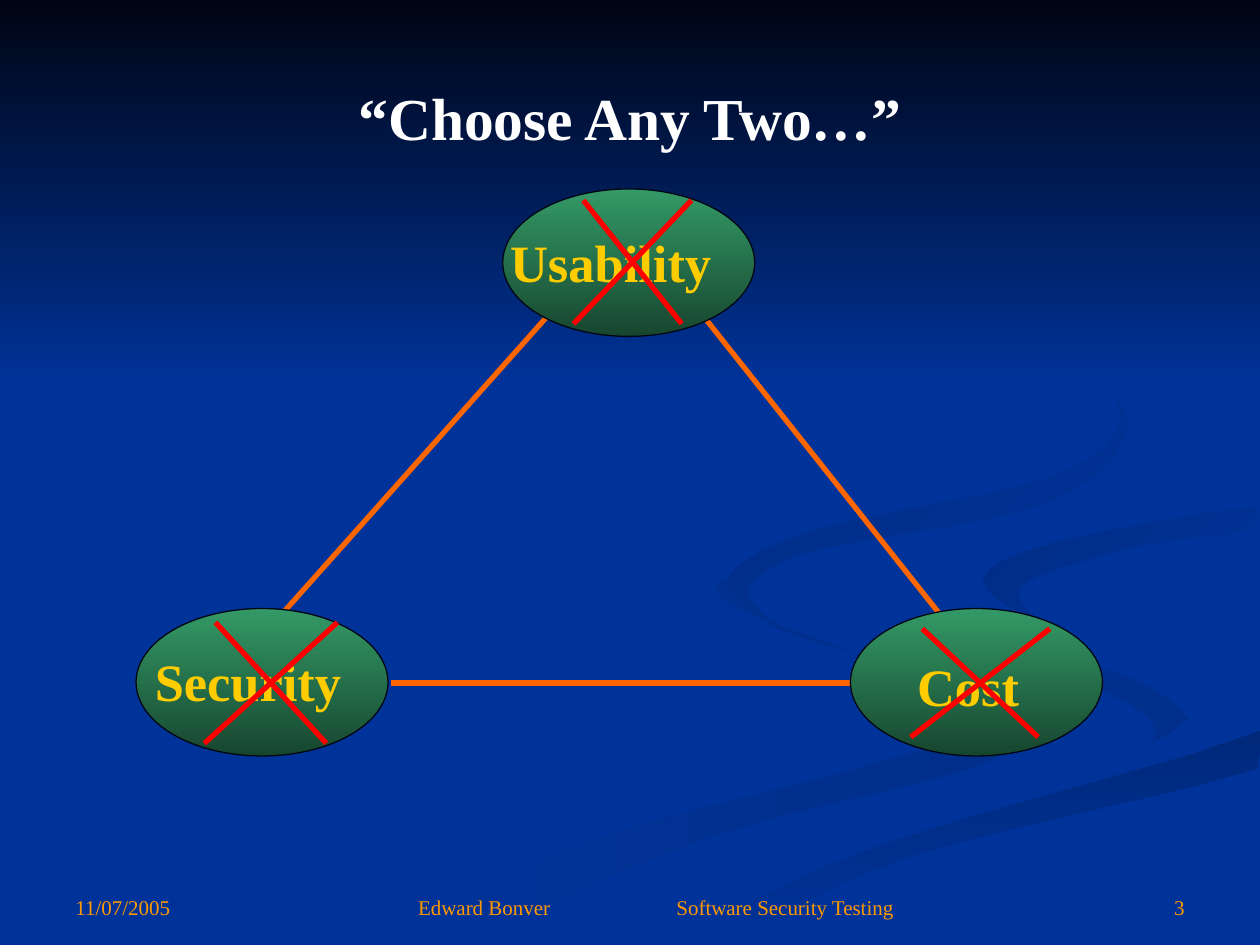
from dataclasses import dataclass

from lxml import etree
from pptx import Presentation
from pptx.dml.color import RGBColor
from pptx.enum.shapes import MSO_CONNECTOR, MSO_SHAPE
from pptx.enum.text import MSO_ANCHOR, PP_ALIGN
from pptx.oxml.ns import qn
from pptx.util import Emu, Inches, Pt

LEFT, CENTER, RIGHT = PP_ALIGN.LEFT, PP_ALIGN.CENTER, PP_ALIGN.RIGHT
TOP, MIDDLE, BOTTOM = MSO_ANCHOR.TOP, MSO_ANCHOR.MIDDLE, MSO_ANCHOR.BOTTOM
OVAL, RECTANGLE = MSO_SHAPE.OVAL, MSO_SHAPE.RECTANGLE
STRAIGHT = MSO_CONNECTOR.STRAIGHT

COLUMNS, ROWS = 100, 75  # grid over the slide, square cells
OVAL_WIDTH, OVAL_HEIGHT = 20, 11.7
CURVE_STEPS = 4


@dataclass(frozen=True)
class Theme:
    font: str = "Times New Roman"
    background: str = "003399"
    night: str = "000514"
    node_top: str = "339966"
    node_bottom: str = "17462F"
    edge: str = "FF6600"
    cross: str = "FF0000"
    title: str = "FFFFFF"
    label: str = "FFCC00"
    footer: str = "FF9900"
    title_size: int = 34
    label_size: int = 30
    footer_size: int = 12
    stroke: int = 3
    outline: float = 0.75


def smooth_ring(knots):
    """Catmull-Rom curve through a closed ring of knots, kept on the slide."""
    ring = []
    for i, b in enumerate(knots):
        a, c, d = knots[i - 1], knots[(i + 1) % len(knots)], knots[(i + 2) % len(knots)]
        for step in range(CURVE_STEPS):
            t = step / CURVE_STEPS
            x, y = (
                q + t / 2 * (r - p + t * (2 * p - 5 * q + 4 * r - s + t * (3 * (q - r) + s - p)))
                for p, q, r, s in zip(a, b, c, d)
            )
            ring.append((min(x, COLUMNS), min(y, ROWS)))
    return ring


class SlideBuilder:
    def __init__(self, deck, theme):
        self.theme = theme
        self.slide = deck.slides.add_slide(deck.slide_layouts[6])
        self.shapes = self.slide.shapes
        self.cell = deck.slide_width / COLUMNS
        fill = self.slide.background.fill
        fill.solid()
        fill.fore_color.rgb = RGBColor.from_string(theme.background)

    def cells(self, *lengths):
        return [Emu(round(length * self.cell)) for length in lengths]

    def paint(self, shape, colors, angle=90, outline=None):
        """Fill with one colour, or a gradient turned clockwise by angle."""
        shape.shadow.inherit = False
        if len(colors) == 1:
            shape.fill.solid()
            shape.fill.fore_color.rgb = RGBColor.from_string(colors[0])
        else:
            shape.fill.gradient()
            shape.fill.gradient_angle = 360 - angle
            for stop, color, position in zip(shape.fill.gradient_stops, colors, (0, 1)):
                stop.color.rgb = RGBColor.from_string(color)
                stop.position = position
        if outline:
            shape.line.color.rgb = RGBColor.from_string(outline)
            shape.line.width = Pt(self.theme.outline)
        else:
            shape.line.fill.background()

    def preset(self, kind, box, colors, outline=None):
        self.paint(self.shapes.add_shape(kind, *self.cells(*box)), colors, outline=outline)

    def ribbon(self, knots, colors, angle):
        start, *rest = [self.cells(*point) for point in smooth_ring(knots)]
        outline = self.shapes.build_freeform(*start)
        outline.add_line_segments(rest, close=True)
        self.paint(outline.convert_to_shape(), colors, angle)

    def line(self, start, end, color, parent=None):
        ends = self.cells(*start, *end)
        connector = (parent or self.slide).shapes.add_connector(STRAIGHT, *ends)
        connector.line.color.rgb = RGBColor.from_string(color)
        connector.line.width = Pt(self.theme.stroke)
        etree.SubElement(connector._element.spPr, qn("a:effectLst"))

    def cross(self, x, y, reach, rise):
        """Falling stroke, then a rising one that reaches a fifth further."""
        group = self.shapes.add_group_shape()
        for dx, dy in ((reach, rise), (1.2 * reach, -rise)):
            self.line((x - dx, y - dy), (x + dx, y + dy), self.theme.cross, group)

    def text(self, words, box, size, color, bold=False, align=LEFT, anchor=TOP, tab=None):
        frame = self.shapes.add_textbox(*self.cells(*box)).text_frame
        frame.word_wrap = True
        frame.vertical_anchor = anchor
        paragraph = frame.paragraphs[0]
        paragraph.alignment = align
        if tab:
            stops = etree.SubElement(paragraph._p.get_or_add_pPr(), qn("a:tabLst"))
            etree.SubElement(stops, qn("a:tab"), pos=str(self.cells(tab)[0]), algn="l")
        run = paragraph.add_run()
        run.text = words
        run.font.name, run.font.size, run.font.bold = self.theme.font, Pt(size), bold
        run.font.color.rgb = RGBColor.from_string(color)


# Ribbons, back to front: colours, angle, knots in grid cells
BLUE = Theme.background
RIBBONS = [
    (("002E8A", BLUE), 180, [
        (78, 55), (62, 50), (57.5, 46), (58, 48), (68, 52), (78.5, 57),
        (68, 61), (46, 67), (30, 75), (36, 75), (56, 66.5), (77, 61), (80, 58)]),
    (("002E8A", BLUE), 225, [
        (94.3, 57), (89, 53.5), (76, 50), (72.4, 46.4), (77, 51), (88, 55),
        (91.8, 58), (89.4, 60.5), (93, 59)]),
    (("00297C", BLUE), 90, [
        (50, 75), (57, 75), (72, 68), (99.8, 61), (99.8, 58), (76, 65), (60, 70.6)]),
    ((BLUE,), 0, [
        (72.5, 46.4), (76, 50), (89, 53.5), (94.3, 57), (84, 62), (66, 67), (48, 75),
        (52, 75), (70, 67), (100, 58), (100, 54), (85, 50), (78, 46), (84, 43),
        (100, 40), (100, 39), (79, 42)]),
    ((BLUE, "002C85"), 225, [
        (78, 46), (82.6, 49.6), (81, 46.5), (90, 43.4), (99.8, 42), (99.8, 40.2), (84, 43)]),
    ((BLUE, "002B81"), 225, [
        (68, 43), (83, 40), (89.4, 34.4), (86, 29), (76, 23), (85, 28), (88.9, 33.5),
        (83, 38), (65, 42), (57.7, 46), (62, 50), (59.3, 47), (62.4, 44.4)]),
]

EDGES = [((20, 51.4), (44.6, 23.8)), ((76.7, 51.4), (54.8, 23.8)), ((31, 54.2), (68, 54.2))]

# Oval corner; label left, top, width; cross centre, reach, rise
NODES = {
    "Usability": ((39.9, 15), (39.5, 17.8, 20.8), (50.2, 20.8, 3.9, 4.9)),
    "Cost": ((67.5, 48.3), (71.8, 51.4, 12), (77.8, 54.2, 4.6, 4.3)),
    "Security": ((10.8, 48.3), (11.3, 51, 19.5), (21.5, 54.2, 4.4, 4.8)),
}

# Words; left, width; alignment; tab stop
FOOTER = [
    ("Edward Bonver\tSoftware Security Testing", (32.2, 43.6), LEFT, 20.5),
    ("3", (84.2, 10.8), RIGHT, None),
    ("11/07/2005", (5, 20.8), LEFT, None),
]


def main():
    deck = Presentation()
    deck.slide_width, deck.slide_height = Inches(10), Inches(7.5)
    theme = Theme()
    page = SlideBuilder(deck, theme)

    # Backdrop
    for colors, angle, knots in RIBBONS:
        page.ribbon(knots, colors, angle)
    page.preset(RECTANGLE, (0, 0, COLUMNS, 30.8), (theme.night, theme.background))

    # Triangle
    for start, end in EDGES:
        page.line(start, end, theme.edge)
    for corner, _, _ in NODES.values():
        page.preset(OVAL, (*corner, OVAL_WIDTH, OVAL_HEIGHT),
                    (theme.node_top, theme.node_bottom), theme.night)

    # Title, corner labels and crosses
    page.text("“Choose Any Two…”", (5, 3, 90, 12.5), theme.title_size, theme.title,
              bold=True, align=CENTER, anchor=MIDDLE)
    for label, (_, place, _) in NODES.items():
        page.text(label, (*place, 6), theme.label_size, theme.label, bold=True)
    for _, _, cross in NODES.values():
        page.cross(*cross)

    # Footer
    for words, (left, width), align, tab in FOOTER:
        page.text(words, (left, 68.3, width, 5.2), theme.footer_size, theme.footer,
                  align=align, anchor=BOTTOM, tab=tab)

    deck.save("out.pptx")


if __name__ == "__main__":
    main()
